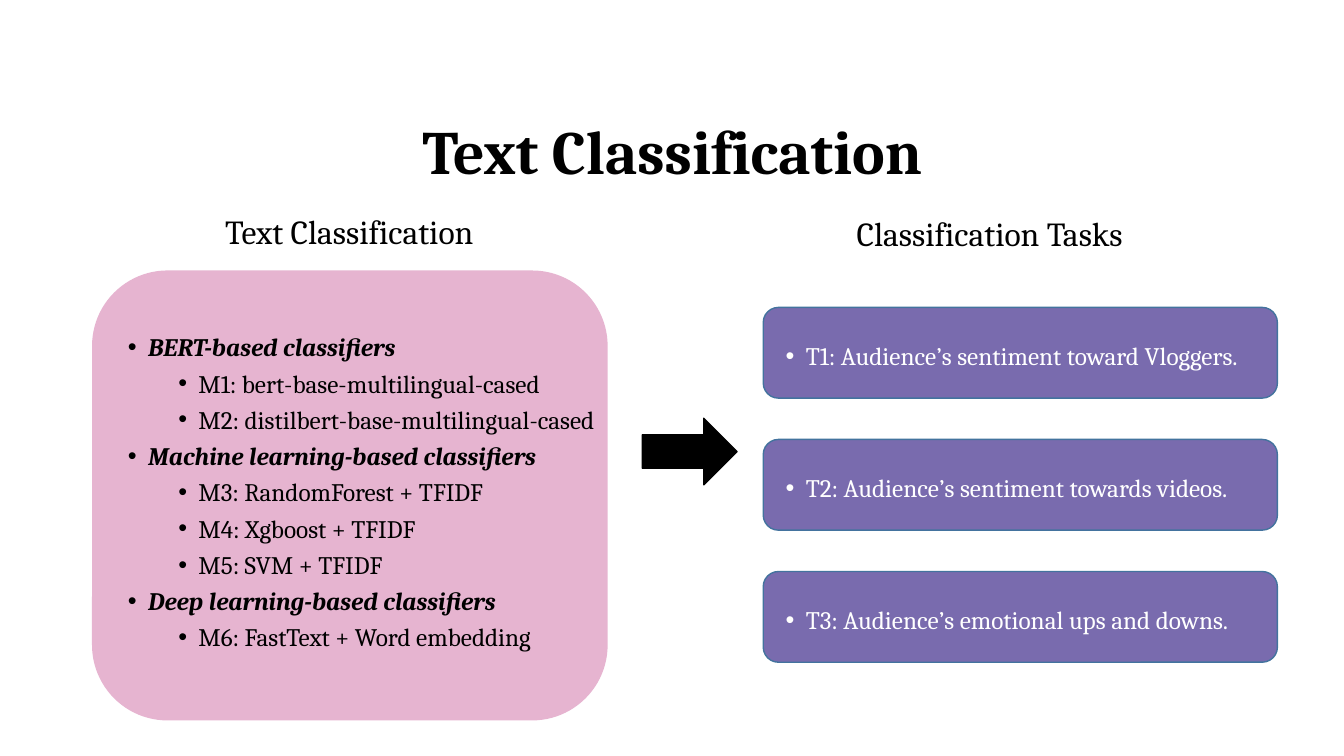
import pptx
import pptx.util
import pptx.dml.color
import pptx.enum.shapes
import pptx.enum.text
import pptx.oxml
import pptx.oxml.ns
from dataclasses import dataclass

Inches, Pt = pptx.util.Inches, pptx.util.Pt
RGB = pptx.dml.color.RGBColor.from_string
SHAPE = pptx.enum.shapes.MSO_SHAPE
ALIGN = pptx.enum.text.PP_ALIGN
ANCHOR = pptx.enum.text.MSO_ANCHOR


@dataclass(frozen=True)
class Theme:
    font: str = "Cambria"
    ink: str = "000000"
    light: str = "FFFFFF"
    pink: str = "E6B4D0"
    purple: str = "796BAE"
    outline: str = "43739E"
    title: int = 44
    heading: int = 24
    body: int = 18


theme = Theme()


def add_text(tf, text, size=theme.body, color=theme.ink, bold=False, italic=False,
             align=ALIGN.LEFT, spacing=1.0, bullet_level=None):
    """Write text as the next paragraph; a bullet_level gives it a bullet and indent."""
    p = tf.paragraphs[0]
    if p.runs:
        p = tf.add_paragraph()
    p.alignment, p.line_spacing = align, spacing
    r = p.add_run()
    r.text = text
    r.font.name, r.font.size = theme.font, Pt(size)
    r.font.bold, r.font.italic = bold, italic
    r.font.color.rgb = RGB(color)
    if bullet_level is not None:
        p.level = bullet_level
        pPr = p._p.get_or_add_pPr()
        pPr.set("marL", str(Inches(0.28 + 0.5 * bullet_level)))
        pPr.set("indent", str(Inches(-0.2)))
        for tag, key, value in (("a:buFont", "typeface", "Arial"), ("a:buChar", "char", "•")):
            bullet = pptx.oxml.parse_xml(f"<{tag} {pptx.oxml.ns.nsdecls('a')}/>")
            bullet.set(key, value)
            pPr.append(bullet)


def add_block(kind, left, top, width, height, fill, line):
    sp = s.shapes.add_shape(kind, Inches(left), Inches(top), Inches(width), Inches(height))
    sp.shadow.inherit = False
    sp.fill.solid()
    sp.fill.fore_color.rgb = RGB(fill)
    sp.line.color.rgb = RGB(line)
    sp.line.width = Pt(1)
    return sp


prs = pptx.Presentation()
prs.slide_width, prs.slide_height = Inches(13.33), Inches(7.5)
s = prs.slides.add_slide(prs.slide_layouts[6])

# Title and column headings
headings = [
    ("Text Classification", 0.92, 1.08, 11.5, 0.9, theme.title, True, 0.9),
    ("Text Classification", 2.05, 2.04, 2.83, 0.5, theme.heading, False, 1.0),
    ("Classification Tasks", 8.35, 2.06, 2.93, 0.5, theme.heading, False, 1.0),
]
for text, left, top, width, height, size, bold, spacing in headings:
    tf = s.shapes.add_textbox(Inches(left), Inches(top), Inches(width), Inches(height)).text_frame
    tf.word_wrap = True
    tf.vertical_anchor = ANCHOR.MIDDLE
    add_text(tf, text, size=size, bold=bold, align=ALIGN.CENTER, spacing=spacing)

# Classifier panel
add_block(SHAPE.ROUNDED_RECTANGLE, 0.92, 2.69, 5.1, 4.45, theme.pink, theme.pink)
tf = s.shapes.add_textbox(Inches(1.09), Inches(3.18), Inches(4.93), Inches(3.72)).text_frame
tf.word_wrap = True
classifiers = {
    "BERT-based classifiers": [
        "M1: bert-base-multilingual-cased",
        "M2: distilbert-base-multilingual-cased",
    ],
    "Machine learning-based classifiers": [
        "M3: RandomForest + TFIDF",
        "M4: Xgboost + TFIDF",
        "M5: SVM + TFIDF",
    ],
    "Deep learning-based classifiers": ["M6: FastText + Word embedding"],
}
for family, models in classifiers.items():
    add_text(tf, family, bold=True, italic=True, spacing=1.2, bullet_level=0)
    for model in models:
        add_text(tf, model, spacing=1.2, bullet_level=1)

add_block(SHAPE.RIGHT_ARROW, 6.37, 4.15, 0.94, 0.66, theme.ink, theme.ink)

# Task boxes
tasks = [
    "T1: Audience’s sentiment toward Vloggers.",
    "T2: Audience’s sentiment towards videos.",
    "T3: Audience’s emotional ups and downs.",
]
for i, task in enumerate(tasks):
    sp = add_block(SHAPE.ROUNDED_RECTANGLE, 7.57, 3.05 + 1.31 * i, 5.1, 0.9,
                   theme.purple, theme.outline)
    tf = sp.text_frame
    tf.word_wrap = True
    tf.vertical_anchor = ANCHOR.MIDDLE
    add_text(tf, task, color=theme.light, spacing=1.2, bullet_level=0)

prs.save("out.pptx")
